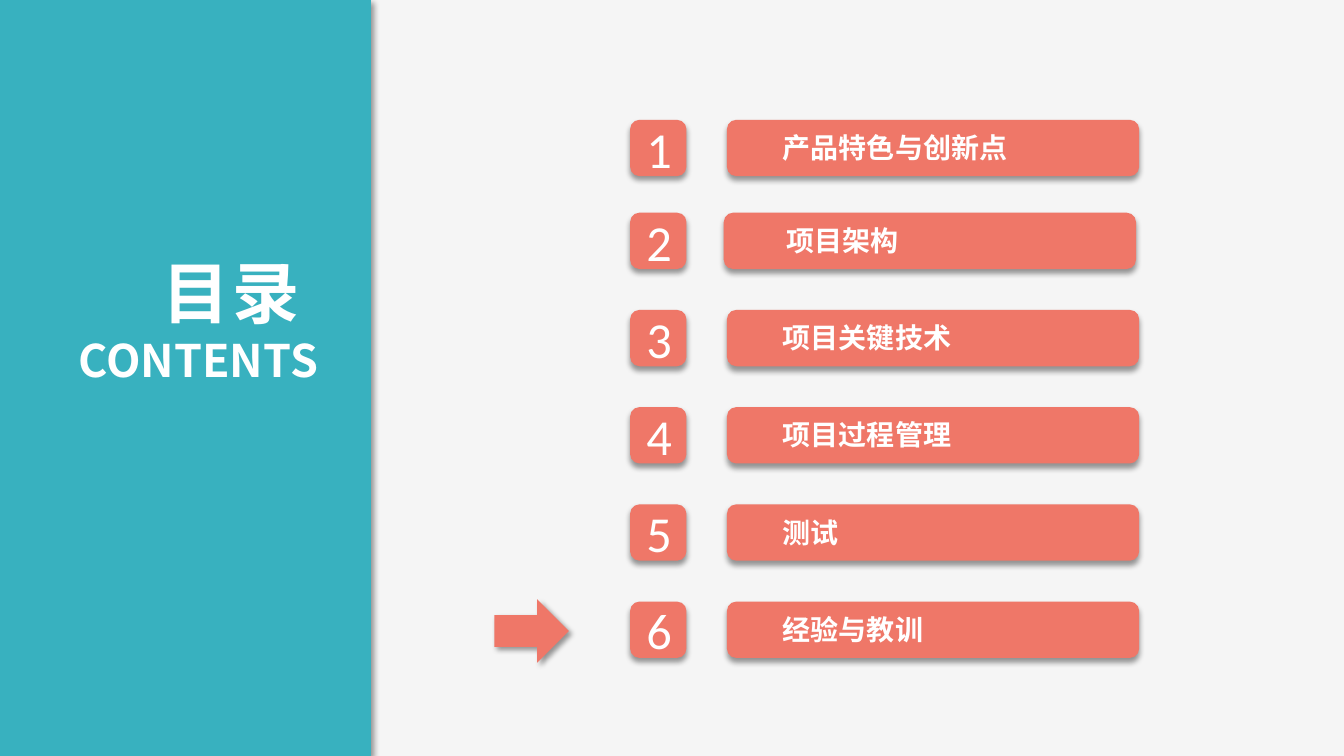
from lxml import etree
from pptx import Presentation
from pptx.dml.color import RGBColor
from pptx.enum.shapes import MSO_SHAPE
from pptx.enum.text import MSO_ANCHOR, PP_ALIGN
from pptx.oxml.ns import qn
from pptx.util import Cm, Pt

RECTANGLE = MSO_SHAPE.RECTANGLE
ROUNDED = MSO_SHAPE.ROUNDED_RECTANGLE
DOWN_ARROW = MSO_SHAPE.DOWN_ARROW
MIDDLE, TOP = MSO_ANCHOR.MIDDLE, MSO_ANCHOR.TOP
LEFT, CENTER, RIGHT = PP_ALIGN.LEFT, PP_ALIGN.CENTER, PP_ALIGN.RIGHT

TEAL = RGBColor(0x38, 0xB1, 0xBF)
CORAL = RGBColor(0xEF, 0x77, 0x68)
WHITE = RGBColor(0xFF, 0xFF, 0xFF)
PALE_GRAY = RGBColor(0xF5, 0xF5, 0xF5)
CHINESE_FONT = "Noto Sans CJK SC"
NUMBER_FONT = "Calibri"

CHAPTERS = ["产品特色与创新点", "项目架构", "项目关键技术",
            "项目过程管理", "测试", "经验与教训"]
FIRST_TOP, SECOND_TOP, ROW_STEP = 3.02, 5.36, 2.45
ROW_LEFT, ROW_HEIGHT = 15.88, 1.42
BAR_OFFSET, BAR_WIDTH = 2.44, 10.39
LABEL_OFFSET, LABEL_WIDTH = 3.51, 7.6


def add_shadow(shape, angle):
    effects = etree.SubElement(shape._element.spPr, qn("a:effectLst"))
    shadow = etree.SubElement(effects, qn("a:outerShdw"), blurRad=str(Pt(4)),
                              dist=str(Pt(3)), dir=str(angle * 60000),
                              algn="t", rotWithShape="0")
    color = etree.SubElement(shadow, qn("a:srgbClr"), val="000000")
    etree.SubElement(color, qn("a:alpha"), val="40000")


def add_block(shapes, kind, left, top, width, height, color, angle):
    block = shapes.add_shape(kind, Cm(left), Cm(top), Cm(width), Cm(height))
    block.fill.solid()
    block.fill.fore_color.rgb = color
    block.line.fill.background()
    add_shadow(block, angle)
    return block


def set_up_frame(frame, anchor):
    frame.word_wrap = True
    frame.vertical_anchor = anchor
    frame.margin_left = frame.margin_right = Cm(0.34)
    frame.margin_top = frame.margin_bottom = Cm(0.17)


def add_span(para, text, size, font, align, bold=True, spacing=0):
    para.alignment = align
    span = para.add_run()
    span.text = text
    span.font.size = Pt(size)
    span.font.bold = bold
    span.font.color.rgb = WHITE
    span.font.name = font
    properties = span.font._element
    properties.set("spc", str(spacing * 100))
    etree.SubElement(properties, qn("a:ea"), typeface=font)


def add_title_panel(page, left, top, width, height):
    add_block(page.shapes, RECTANGLE, left, top, width, height, TEAL, 45)
    box = page.shapes.add_textbox(Cm(left + 0.84), Cm(top + 6.17), Cm(7.8), Cm(3.76))
    frame = box.text_frame
    set_up_frame(frame, TOP)
    add_span(frame.paragraphs[0], "目录 ", 48, CHINESE_FONT, RIGHT, spacing=2)
    add_span(frame.add_paragraph(), "CONTENTS", 32, CHINESE_FONT, RIGHT)


def add_chapter(page, number, name, left, top, height, shift):
    # Number tile
    tile = add_block(page.shapes, ROUNDED, left, top, height, height, CORAL, 90)
    set_up_frame(tile.text_frame, MIDDLE)
    add_span(tile.text_frame.paragraphs[0], str(number), 36, NUMBER_FONT, CENTER,
             bold=False)
    # Bar with its label
    group = page.shapes.add_group_shape()
    add_block(group.shapes, ROUNDED, left + BAR_OFFSET - shift, top,
              BAR_WIDTH, height, CORAL, 90)
    label = group.shapes.add_textbox(Cm(left + LABEL_OFFSET + shift), Cm(top + 0.1),
                                     Cm(LABEL_WIDTH), Cm(1.19))
    set_up_frame(label.text_frame, TOP)
    add_span(label.text_frame.paragraphs[0], name, 20, CHINESE_FONT, LEFT)


def add_chapter_list(page, left):
    for index, name in enumerate(CHAPTERS):
        top = SECOND_TOP + (index - 1) * ROW_STEP if index else FIRST_TOP
        shift = 0.08 if index == 1 else 0
        add_chapter(page, index + 1, name, left, top, ROW_HEIGHT, shift)
    # Arrow marking the current chapter, the last one
    arrow = add_block(page.shapes, DOWN_ARROW, left - 3.28, top - 0.2,
                      1.6, 1.88, CORAL, 45)
    arrow.rotation = 270


def main():
    deck = Presentation()
    deck.slide_width, deck.slide_height = Cm(33.87), Cm(19.05)
    page = deck.slides.add_slide(deck.slide_layouts[6])
    page.background.fill.solid()
    page.background.fill.fore_color.rgb = PALE_GRAY
    add_title_panel(page, -0.28, 0, 9.63, 19.05)
    add_chapter_list(page, ROW_LEFT)
    deck.save("out.pptx")


if __name__ == "__main__":
    main()
